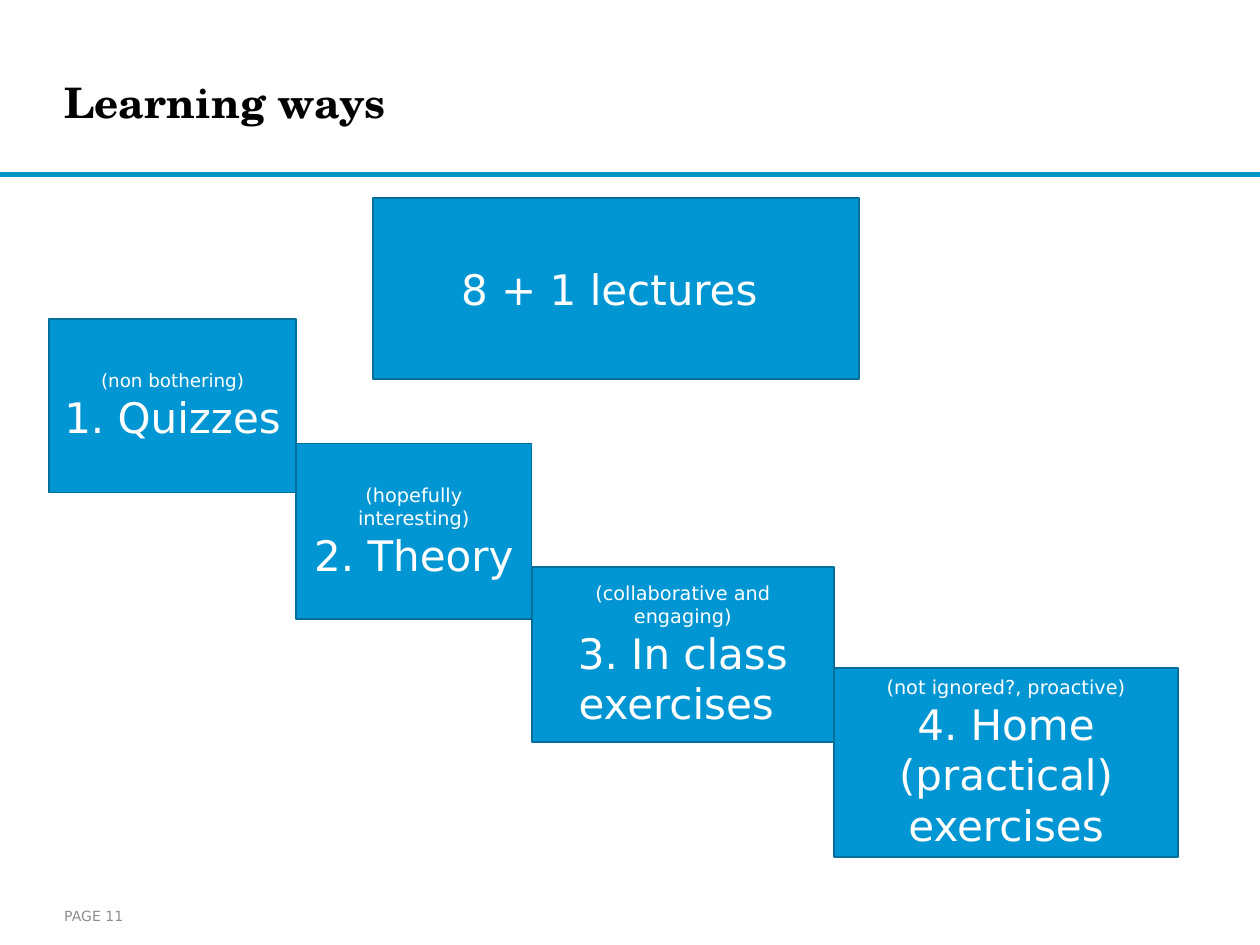
from pptx import Presentation
from pptx.dml.color import RGBColor
from pptx.enum.shapes import MSO_SHAPE as Shape
from pptx.enum.text import MSO_ANCHOR as Anchor, PP_ALIGN as Align
from pptx.util import Inches, Pt

SANS, SERIF = "DejaVu Sans", "TeX Gyre Schola"
BLUE, DARK_BLUE, TEAL = "0096D3", "006F9C", "0C94B7"
WHITE, BLACK, GREY = "FFFFFF", "000000", "8C8C8C"

STEPS_LEFT = 0.39
# top, width, height, remark, remark size, name
STEPS = [
    (2.53, 1.96, 1.38, "(non bothering)", 10.5, "1. Quizzes"),
    (3.52, 1.87, 1.39, "(hopefully interesting)", 11, "2. Theory"),
    (4.5, 2.4, 1.39, "(collaborative and engaging)", 11, "3. In class exercises "),
    (5.3, 2.73, 1.5, "(not ignored?, proactive)", 11, "4. Home (practical) exercises"),
]


def color(value):
    return RGBColor.from_string(value)


def add_span(para, text, size, fill, name=SANS, bold=False):
    span = para.add_run()
    span.text = text
    span.font.size = Pt(size)
    span.font.name = name
    span.font.bold = bold
    span.font.color.rgb = color(fill)


def set_frame(frame, side=0.0, edge=0.0):
    """Wrap and centre vertically, with the given insets in inches."""
    frame.word_wrap = True
    frame.vertical_anchor = Anchor.MIDDLE
    frame.margin_left = frame.margin_right = Inches(side)
    frame.margin_top = frame.margin_bottom = Inches(edge)


def add_box(page, left, top, width, height, fill, line):
    box = page.shapes.add_shape(
        Shape.RECTANGLE, Inches(left), Inches(top), Inches(width), Inches(height))
    box.shadow.inherit = False
    box.fill.solid()
    box.fill.fore_color.rgb = color(fill)
    box.line.color.rgb = color(line)
    box.line.width = Pt(1)
    return box


def add_card(page, left, top, width, height, lines):
    """Blue box with one centred paragraph for each (text, size) line."""
    box = add_box(page, left, top, width, height, BLUE, DARK_BLUE)
    frame = box.text_frame
    set_frame(frame, 0.1, 0.05)
    for index, (text, size) in enumerate(lines):
        para = frame.add_paragraph() if index else frame.paragraphs[0]
        para.alignment = Align.CENTER
        add_span(para, text, size, WHITE)


def add_header(page, left, top, width, height):
    title = page.shapes.title
    title.left, title.top = Inches(left), Inches(top)
    title.width, title.height = Inches(width), Inches(height)
    set_frame(title.text_frame)
    para = title.text_frame.paragraphs[0]
    para.alignment = Align.LEFT
    add_span(para, "Learning ways", 24, BLACK, SERIF, bold=True)
    add_box(page, 0, top + height, 10, 0.03, TEAL, BLUE)


def add_stairs(page, left):
    """Each step starts where the one before it ends."""
    for top, width, height, remark, size, name in STEPS:
        add_card(page, left, top, width, height, [(remark, size), (name, 24)])
        left += width


def add_footer(page, left, top, width, height):
    box = page.shapes.add_textbox(
        Inches(left), Inches(top), Inches(width), Inches(height))
    set_frame(box.text_frame, 0, 0.05)
    add_span(box.text_frame.paragraphs[0], "PAGE 11", 8, GREY)


def main():
    deck = Presentation()
    deck.slide_width, deck.slide_height = Inches(10), Inches(7.5)
    page = deck.slides.add_slide(deck.slide_layouts[5])
    add_header(page, 0.51, 0.25, 7.05, 1.12)
    add_card(page, 2.96, 1.57, 3.86, 1.44, [("8 + 1 lectures ", 24)])
    add_stairs(page, STEPS_LEFT)
    add_footer(page, 0.51, 7.1, 0.98, 0.34)
    deck.save("out.pptx")


if __name__ == "__main__":
    main()
